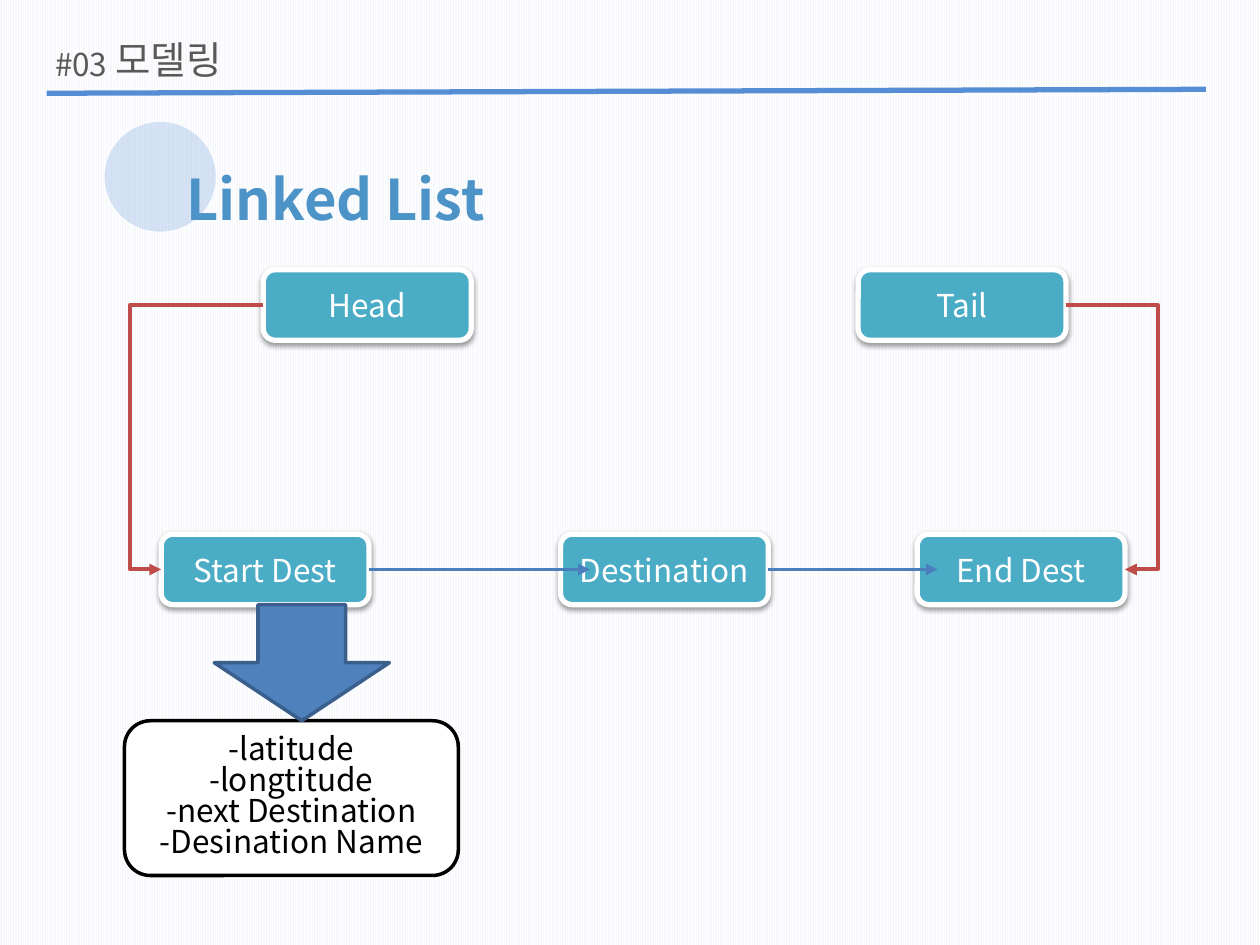
"""Build the linked list modelling slide."""
from dataclasses import dataclass

from lxml import etree
from pptx import Presentation
from pptx import util as u
from pptx.dml.color import RGBColor
from pptx.enum import dml, shapes, text
from pptx.oxml.ns import qn


@dataclass(frozen=True)
class Theme:
    korean: str = "Noto Sans CJK KR"
    chinese: str = "Noto Sans CJK SC"
    white: str = "FFFFFF"
    black: str = "000000"
    stripe: str = "F6F8FC"
    grey: str = "595959"
    accent: str = "558ED5"
    title: str = "4C93C7"
    node: str = "4BACC6"
    pointer: str = "BF4C48"
    link: str = "4B7EBC"
    arrow: str = "4F81BD"
    arrow_edge: str = "3A5F8C"
    body_size: int = 18
    section_size: int = 22
    title_size: int = 32


def child(parent, tag, **attributes):
    values = {name: str(value) for name, value in attributes.items()}
    return etree.SubElement(parent, qn(tag), values)


def write(box, content, font, size, color, bold=False, align=None, spacing=None):
    for index, line in enumerate(content.split("\n")):
        para = box.paragraphs[0] if index == 0 else box.add_paragraph()
        para.alignment = align
        para.line_spacing = spacing
        span = para.add_run()
        span.text = line
        span.font.name = font
        span.font.size = u.Pt(size)
        span.font.bold = bold
        span.font.color.rgb = RGBColor.from_string(color)
        child(span.font._element, "a:ea", typeface=font)


class Page:
    def __init__(self, deck, theme):
        self.theme = theme
        self.slide = deck.slides.add_slide(deck.slide_layouts[6])

    def stripes(self):
        fill = self.slide.background.fill
        fill.patterned()
        fill.pattern = dml.MSO_PATTERN.LIGHT_VERTICAL
        fill.fore_color.rgb = RGBColor.from_string(self.theme.white)
        fill.back_color.rgb = RGBColor.from_string(self.theme.stripe)

    def label(self, place, content, wrap=True, **style):
        frame = self.slide.shapes.add_textbox(*map(u.Cm, place)).text_frame
        frame.word_wrap = wrap
        write(frame, content, **style)

    def shape(self, kind, place, fill, edge=None, width=2, alpha=None):
        shape = self.slide.shapes.add_shape(kind, *map(u.Cm, place))
        shape.shadow.inherit = False
        shape.fill.solid()
        shape.fill.fore_color.rgb = RGBColor.from_string(fill)
        if alpha:
            color = shape._element.spPr.find(".//" + qn("a:srgbClr"))
            child(color, "a:alpha", val=alpha * 1000)
        if edge:
            shape.line.color.rgb = RGBColor.from_string(edge)
            shape.line.width = u.Pt(width)
        else:
            shape.line.fill.background()
        return shape

    def box(self, place, content, fill, edge, color, width=2, spacing=None):
        shape = self.shape(shapes.MSO_SHAPE.ROUNDED_RECTANGLE, place, fill, edge, width)
        shape.text_frame.vertical_anchor = text.MSO_ANCHOR.MIDDLE
        write(shape.text_frame, content, self.theme.korean, self.theme.body_size,
              color, align=text.PP_ALIGN.CENTER, spacing=spacing)
        return shape

    def node(self, place, content):
        theme = self.theme
        shape = self.box(place, content, theme.node, theme.white, theme.white, width=3)
        effects = shape._element.spPr.find(qn("a:effectLst"))
        shadow = child(effects, "a:outerShdw", blurRad=u.Pt(3.1), dist=u.Pt(1.6),
                       dir=5400000, rotWithShape=0)
        child(child(shadow, "a:srgbClr", val=theme.black), "a:alpha", val=38000)

    def line(self, start, end, color, width=2.25, bend=None, arrow=True):
        kind = shapes.MSO_CONNECTOR.STRAIGHT if bend is None else shapes.MSO_CONNECTOR.ELBOW
        line = self.slide.shapes.add_connector(kind, *map(u.Cm, (*start, *end)))
        line.line.color.rgb = RGBColor.from_string(color)
        line.line.width = u.Pt(width)
        properties = line._element.spPr
        if arrow:
            child(properties.find(qn("a:ln")), "a:tailEnd", type="triangle")
        if bend is not None:
            ratio = round((bend - start[0]) / (end[0] - start[0]) * 100000)
            guides = properties.find(qn("a:prstGeom")).find(qn("a:avLst"))
            child(guides, "a:gd", name="adj1", fmla=f"val {ratio}")
        child(properties, "a:effectLst")


def main():
    theme = Theme()
    deck = Presentation()
    deck.slide_width, deck.slide_height = u.Cm(25.4), u.Cm(19.05)
    page = Page(deck, theme)
    page.stripes()

    page.label((0.86, 0.79, 1.6, 1.02), "#03", wrap=False, font=theme.chinese,
               size=theme.body_size, color=theme.grey)
    page.label((2.08, 0.61, 3.81, 1.19), "모델링", font=theme.korean,
               size=theme.section_size, color=theme.grey)
    page.shape(shapes.MSO_SHAPE.OVAL, (2.11, 2.46, 2.24, 2.21), theme.accent, alpha=23)
    page.label((3.51, 3.2, 13.23, 1.63), "Linked List", font=theme.korean,
               size=theme.title_size, color=theme.title, bold=True)
    page.line((0.94, 1.88), (24.31, 1.8), theme.accent, width=3, arrow=False)

    width, height, upper, lower = 4.19, 1.42, 5.44, 10.77
    head, tail, first, middle, last = 5.31, 17.3, 3.25, 11.3, 18.49
    nodes = [("Head", head, upper), ("Start Dest", first, lower),
             ("Destination", middle, lower), ("End Dest", last, lower),
             ("Tail", tail, upper)]
    for name, left, top in nodes:
        page.node((left, top, width, height), name)

    high, low = upper + height / 2, lower + height / 2
    page.line((head, high), (first, low), theme.pointer, bend=2.62)
    page.line((first + width, low), (11.89, low), theme.link)
    page.line((middle + width, low), (18.9, low), theme.link)
    page.line((tail + width, high), (last + width, low), theme.pointer, bend=23.34)

    fields = "-latitude\n-longtitude\n-next Destination\n-Desination Name"
    page.box((2.51, 14.53, 6.73, 3.12), fields, theme.white, theme.black,
             theme.black, spacing=0.82)
    page.shape(shapes.MSO_SHAPE.DOWN_ARROW, (4.32, 12.19, 3.53, 2.34),
               theme.arrow, theme.arrow_edge)
    deck.save("out.pptx")


main()
